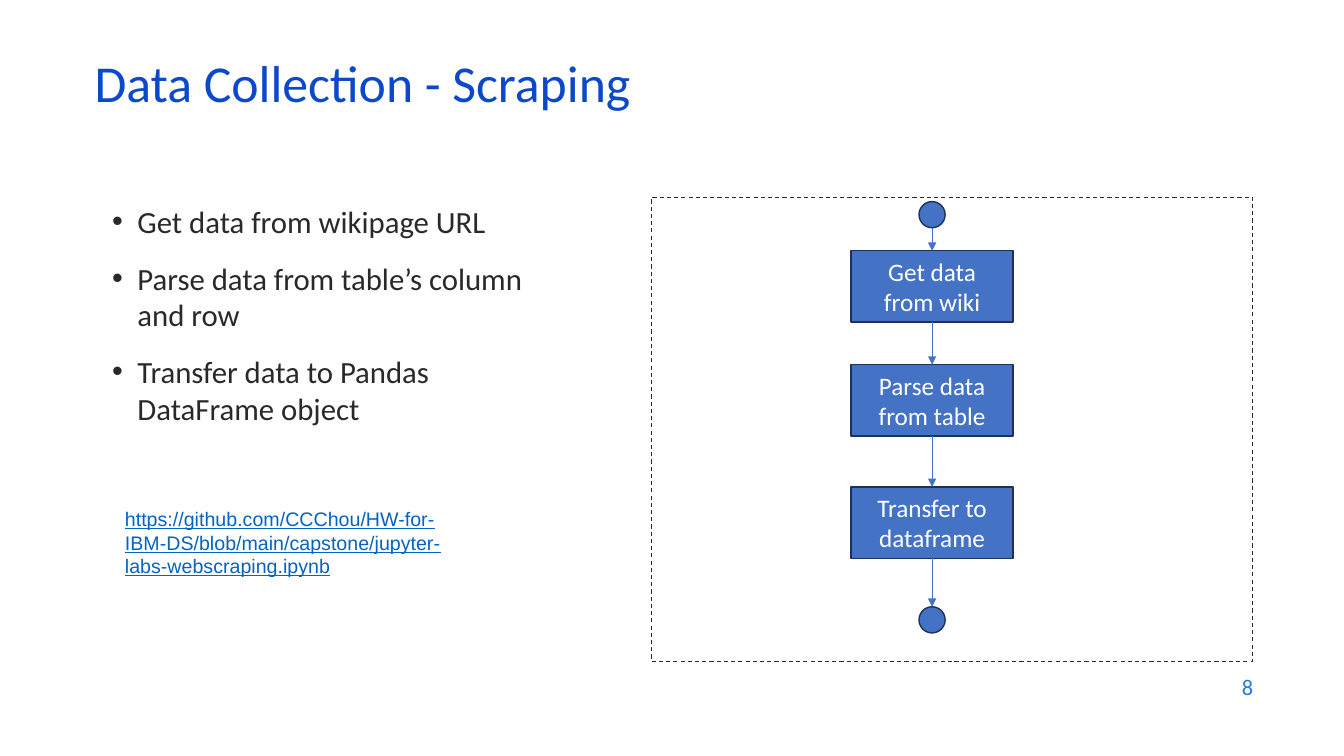
from lxml import etree
from pptx import Presentation
from pptx.dml.color import RGBColor
from pptx.enum.dml import MSO_LINE
from pptx.enum.shapes import MSO_CONNECTOR, MSO_SHAPE
from pptx.enum.text import MSO_ANCHOR, MSO_AUTO_SIZE, PP_ALIGN
from pptx.oxml.ns import qn
from pptx.util import Cm, Pt

RECT, OVAL = MSO_SHAPE.RECTANGLE, MSO_SHAPE.OVAL
STRAIGHT, DASH = MSO_CONNECTOR.STRAIGHT, MSO_LINE.DASH
TOP, MIDDLE = MSO_ANCHOR.TOP, MSO_ANCHOR.MIDDLE
LEFT, CENTER, RIGHT = PP_ALIGN.LEFT, PP_ALIGN.CENTER, PP_ALIGN.RIGHT
NO_FIT = MSO_AUTO_SIZE.NONE

TITLE = RGBColor(0x0B, 0x49, 0xCB)
INK = RGBColor(0x29, 0x29, 0x29)
NUMBER = RGBColor(0x1C, 0x7D, 0xDB)
LINK = RGBColor(0x05, 0x63, 0xC1)
FILL = RGBColor(0x44, 0x72, 0xC4)
EDGE = RGBColor(0x1E, 0x32, 0x56)
WHITE = RGBColor(0xFF, 0xFF, 0xFF)

AXIS = 23.49
BOX_W, BOX_H, DOT = 4.09, 1.8, 0.66
STEPS = [
    (5.08, ""),
    (6.32, "Get data from wiki"),
    (9.19, "Parse data from table"),
    (12.27, "Transfer to dataframe"),
    (15.29, ""),
]
POINTS = [
    "Get data from wikipage URL",
    "Parse data from table’s column and row",
    "Transfer data to Pandas DataFrame object",
]


class Deck:
    def __init__(self):
        self.file = Presentation()
        self.file.slide_width, self.file.slide_height = Cm(33.87), Cm(19.05)
        self.slide = self.file.slides.add_slide(self.file.slide_layouts[1])
        self.shapes = self.slide.shapes
        self.font = {"name": "Calibri", "bold": False}

    def label(self, shape, lines, size, color, align=LEFT, anchor=TOP, **font):
        frame = shape.text_frame
        frame.word_wrap, frame.auto_size = True, NO_FIT
        frame.vertical_anchor = anchor
        frame.text = "\n".join(lines)
        style = {**self.font, "size": Pt(size), **font}
        for para in frame.paragraphs:
            para.alignment = align
            for run in para.runs:
                run.font.color.rgb = color
                for key, value in style.items():
                    setattr(run.font, key, value)
        return frame.paragraphs

    def place(self, shape, area):
        for key, value in zip(("left", "top", "width", "height"), area):
            setattr(shape, key, Cm(value))
        return shape

    def title(self, area, text):
        shape = self.place(self.shapes.title, area)
        para = self.label(shape, [text], 37, TITLE, anchor=MIDDLE)[0]
        para.line_spacing = 0.7

    def points(self, area, lines):
        shape = self.place(self.slide.placeholders[1], area)
        for i, para in enumerate(self.label(shape, lines, 22, INK)):
            para.space_before = Pt(14 if i else 0)
            props = para._p.get_or_add_pPr()
            props.set("marL", str(Cm(0.64)))
            props.set("indent", str(-Cm(0.64)))
            etree.SubElement(props, qn("a:buChar"), char="•")

    def text(self, area, text, size, color, **style):
        box = self.shapes.add_textbox(*map(Cm, area))
        self.label(box, [text], size, color, **style)

    def shape(self, kind, area, fill=None, edge=EDGE, width=1, dash=None):
        shape = self.shapes.add_shape(kind, *map(Cm, area))
        shape.shadow.inherit = False
        if fill is None:
            shape.fill.background()
        else:
            shape.fill.solid()
            shape.fill.fore_color.rgb = fill
        shape.line.color.rgb = edge
        shape.line.width = Pt(width)
        if dash:
            shape.line.dash_style = dash
        return shape

    def step(self, top, text):
        """Draw a labelled box, or a dot when there is no text."""
        wide, high = (BOX_W, BOX_H) if text else (DOT, DOT)
        area = (AXIS - wide / 2, top, wide, high)
        shape = self.shape(RECT if text else OVAL, area, FILL)
        if text:
            self.label(shape, [text], 18, WHITE, CENTER, MIDDLE)
        return top + high

    def arrow(self, start, end):
        line = self.shapes.add_connector(
            STRAIGHT, Cm(AXIS), Cm(start), Cm(AXIS), Cm(end))
        line.line.color.rgb = FILL
        line.line.width = Pt(0.5)
        props = line._element.spPr
        etree.SubElement(props.find(qn("a:ln")), qn("a:tailEnd"),
                         type="triangle")
        etree.SubElement(props, qn("a:effectLst"))


def main():
    deck = Deck()
    deck.title((2.13, 1.5, 29.21, 1.52), "Data Collection - Scraping")
    deck.points((2.57, 4.98, 10.92, 10.59), POINTS)
    deck.shape(RECT, (16.41, 4.98, 15.16, 11.68), edge=INK, width=0.75,
               dash=DASH)
    deck.text((2.9, 12.65, 8.53, 2.06),
              "https://github.com/CCChou/HW-for-IBM-DS/blob/main/capstone/"
              "jupyter-labs-webscraping.ipynb",
              14, LINK, name="Arial", underline=True)
    deck.text((24.21, 16.74, 7.62, 1.12), "8", 16, NUMBER,
              align=RIGHT, anchor=MIDDLE)
    ends = [deck.step(top, text) for top, text in STEPS]
    for end, (top, _) in zip(ends, STEPS[1:]):
        deck.arrow(end, top)
    deck.file.save("out.pptx")


if __name__ == "__main__":
    main()
